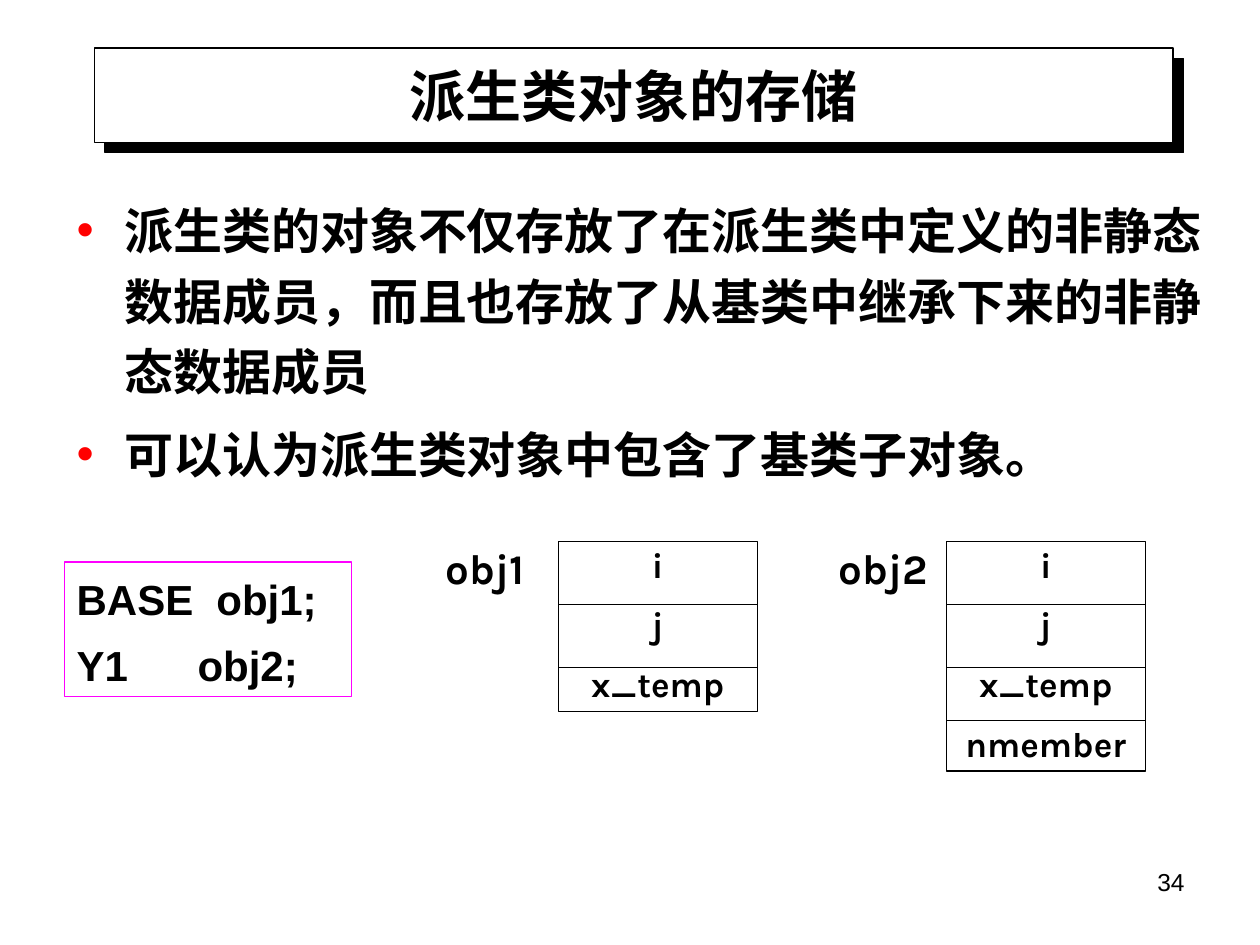
from lxml.etree import SubElement
from pptx import Presentation
from pptx.dml.color import RGBColor
from pptx.enum.shapes import MSO_CONNECTOR, MSO_SHAPE
from pptx.enum.text import MSO_ANCHOR, PP_ALIGN
from pptx.oxml.ns import qn
from pptx.util import Emu, Inches, Pt

# Content
TITLE = "派生类对象的存储"
BULLETS = [
    "派生类的对象不仅存放了在派生类中定义的非静态数据成员，而且也存放了从基类中继承下来的非静态数据成员",
    "可以认为派生类对象中包含了基类子对象。",
]
DECLARATIONS = ["BASE\tobj1;", "Y1\tobj2;"]
DECLARATION_TABS = [1.11, 0.96]
OBJECTS = [  # name, label left, box left, members
    ("obj1", 3.35, 4.43, ["i", "j", "x_temp"]),
    ("obj2", 6.51, 7.51, ["i", "j", "x_temp", "nmember"]),
]
PAGE = "34"

# Style and layout, in inches
COLORS = {"ink": "000000", "paper": "FFFFFF", "bullet": "FF0000", "frame": "FF00FF"}
CJK, LATIN, DIAGRAM = "Noto Sans CJK SC", "Arial", "Karla"
TOP, BOX_W = 4.3, 1.58
DIVIDERS = [0.5, 1.0, 1.42]   # below the top of an object box
HEIGHTS = {3: 1.35, 4: 1.82}  # box height by number of members

prs = Presentation()
prs.slide_width, prs.slide_height = Inches(10), Inches(7.5)
s = prs.slides.add_slide(prs.slide_layouts[6])


def rgb(name):
    return RGBColor.from_string(COLORS[name])


def put_text(sp, lines, size, font, bold=True, align=PP_ALIGN.LEFT, anchor=MSO_ANCHOR.TOP,
             spacing=1.0, before=0, bullet=None, tabs=()):
    tf = sp.text_frame
    tf.word_wrap, tf.vertical_anchor = True, anchor
    for i, line in enumerate(lines):
        p = tf.paragraphs[0] if i == 0 else tf.add_paragraph()
        p.alignment, p.line_spacing, p.space_before = align, spacing, Pt(before)
        r = p.add_run()
        r.text = line
        f = r.font
        f.size, f.bold, f.name, f.color.rgb = Pt(size), bold, font, rgb("ink")
        SubElement(r._r.get_or_add_rPr(), qn("a:ea"), typeface=font)
        pPr = p._p.get_or_add_pPr()
        if bullet:
            pPr.set("marL", str(Inches(0.38)))
            pPr.set("indent", str(-Inches(0.38)))
            SubElement(SubElement(pPr, qn("a:buClr")), qn("a:srgbClr"), val=COLORS["bullet"])
            SubElement(pPr, qn("a:buFont"), typeface=LATIN)
            SubElement(pPr, qn("a:buChar"), char=bullet)
        if tabs:
            SubElement(SubElement(pPr, qn("a:tabLst")), qn("a:tab"),
                       pos=str(Inches(tabs[i])), algn="l")


def add_text(x, y, w, h, lines, **fmt):
    put_text(s.shapes.add_textbox(*map(Inches, (x, y, w, h))), lines, **fmt)


def add_box(x, y, w, h, line="ink", fill=None):
    sp = s.shapes.add_shape(MSO_SHAPE.RECTANGLE, *map(Inches, (x, y, w, h)))
    sp.shadow.inherit = False
    sp.line.color.rgb, sp.line.width = rgb(line), Pt(0.75)
    if fill:
        sp.fill.solid()
        sp.fill.fore_color.rgb = rgb(fill)
    else:
        sp.fill.background()
    return sp


def add_divider(x, y, w):
    ln = s.shapes.add_connector(MSO_CONNECTOR.STRAIGHT, *map(Inches, (x, y, x + w, y)))
    ln.line.color.rgb, ln.line.width = rgb("ink"), Pt(0.75)
    SubElement(ln._element.spPr, qn("a:effectLst"))


# Title box with a hard shadow
title = add_box(0.75, 0.38, 8.56, 0.75, fill="paper")
shadow = SubElement(title._element.spPr.find(qn("a:effectLst")), qn("a:outerShdw"),
                    dist=str(Emu(Pt(8.5))), dir=str(45 * 60000), algn="ctr", rotWithShape="0")
SubElement(shadow, qn("a:srgbClr"), val=COLORS["ink"])
put_text(title, [TITLE], size=32, font=CJK, align=PP_ALIGN.CENTER, anchor=MSO_ANCHOR.MIDDLE)

# Bullets
add_text(0.51, 1.45, 9.21, 4.5, BULLETS, size=28, font=CJK, spacing=1.2, before=7, bullet="•")

# Memory layout of each object
for name, label_x, box_x, members in OBJECTS:
    add_text(label_x, TOP, 1, 0.46, [name], size=24, font=DIAGRAM,
             align=PP_ALIGN.CENTER, spacing=0.9, before=15)
    box = add_box(box_x, TOP, BOX_W, HEIGHTS[len(members)])
    put_text(box, members, size=20, font=DIAGRAM, align=PP_ALIGN.CENTER,
             spacing=0.9, before=12.5)
    for dy in DIVIDERS[:len(members) - 1]:
        add_divider(box_x, TOP + dy, BOX_W)

# Declarations
put_text(add_box(0.51, 4.46, 2.28, 1.07, line="frame"), DECLARATIONS, size=24, font=LATIN,
         spacing=1.1, before=6, tabs=DECLARATION_TABS)

# Page number
add_text(7.17, 6.83, 2.33, 0.52, [PAGE], size=14, font=LATIN, bold=False, align=PP_ALIGN.RIGHT)

prs.save("out.pptx")
